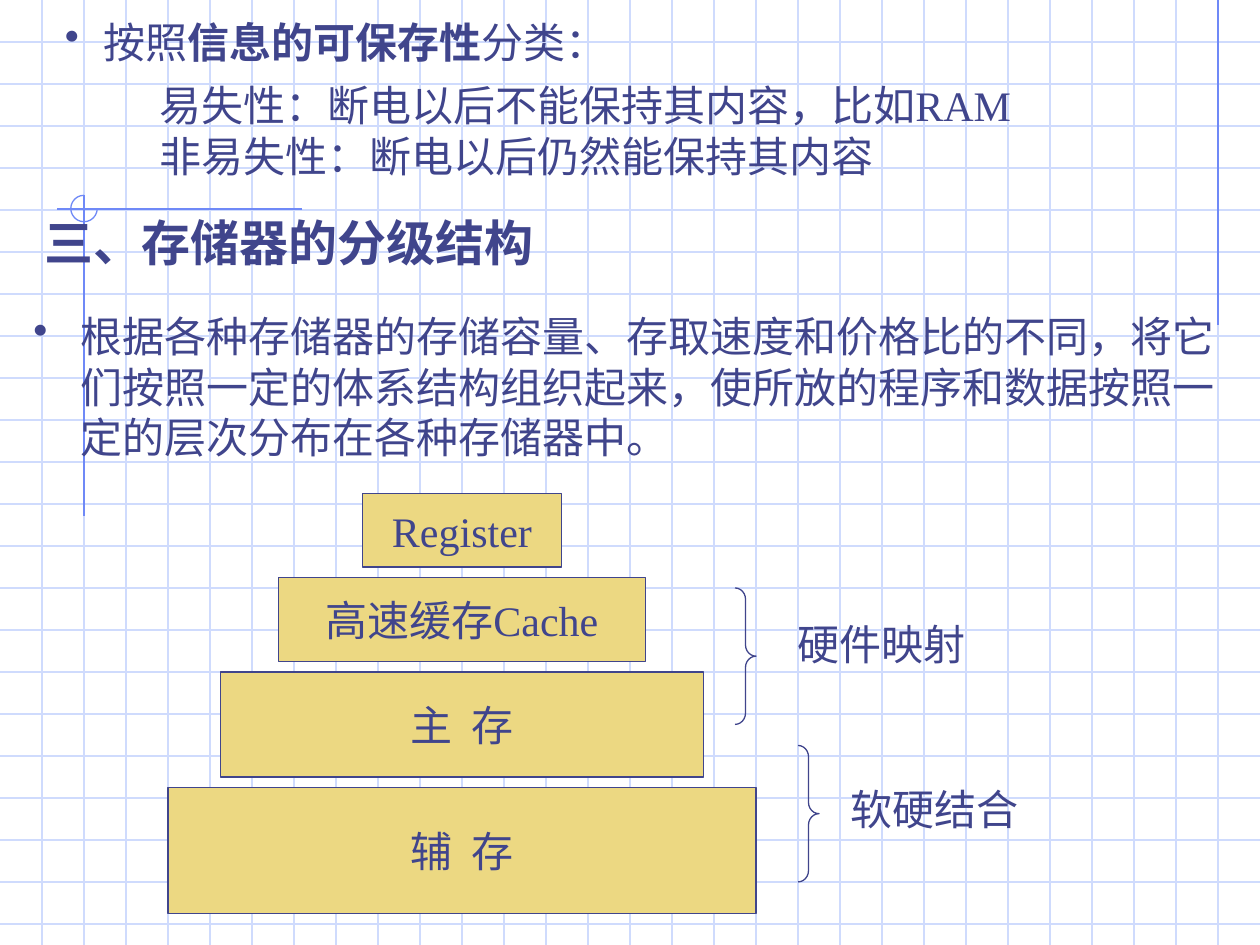
from lxml import etree
from pptx import Presentation
from pptx import util as u
from pptx.dml.color import RGBColor
from pptx.enum import shapes, text
from pptx.oxml import ns

GRID = RGBColor(0xCF, 0xDB, 0xFD)
ACCENT = RGBColor(0x6F, 0x89, 0xF7)
INK = RGBColor(0x40, 0x45, 0x8C)
GOLD = RGBColor(0xEC, 0xD8, 0x82)

presentation = Presentation()
presentation.slide_width, presentation.slide_height = u.Inches(10), u.Inches(7.5)
slide = presentation.slides.add_slide(presentation.slide_layouts[5])

# The slide is 120 x 90 units; the background grid has one line every 4 units.
COLUMNS, ROWS, STEP = 120, 90, 4
UNIT = presentation.slide_width / COLUMNS


def units(*values):
    return [round(value * UNIT) for value in values]


def write(shape, paragraphs, size=24, font="Times New Roman", **frame_format):
    """Fill a shape with paragraphs, each a list of (text, bold) runs."""
    frame = shape.text_frame
    for name, value in {"word_wrap": True, **frame_format}.items():
        setattr(frame, name, value)
    for index, runs in enumerate(paragraphs):
        paragraph = frame.add_paragraph() if index else frame.paragraphs[0]
        centred = shape.shape_type == shapes.MSO_SHAPE_TYPE.AUTO_SHAPE
        paragraph.alignment = text.PP_ALIGN.CENTER if centred else text.PP_ALIGN.LEFT
        for words, bold in runs:
            run = paragraph.add_run()
            run.text = words
            font_format = {"size": u.Pt(size), "name": font, "bold": bold}
            for name, value in font_format.items():
                setattr(run.font, name, value)
            run.font.color.rgb = INK


# Background grid and accent lines
lines = [(0, row, COLUMNS, row, GRID) for row in range(STEP, ROWS, STEP)]
lines += [(column, 0, column, ROWS, GRID) for column in range(STEP, COLUMNS, STEP)]
lines += [
    (116, 0, 116, 31, ACCENT),
    (28.8, 19.9, 5.4, 19.9, ACCENT),
    (8, 18.6, 8, 49.1, ACCENT),
]
for *ends, color in lines:
    line = slide.shapes.add_connector(shapes.MSO_CONNECTOR.STRAIGHT, *units(*ends))
    line.line.color.rgb = color
    line.line.width = u.Pt(0.75)
    etree.SubElement(line._element.spPr, ns.qn("a:effectLst"))

# Open outlines: the ring on the accent lines and the two braces
outlines = [
    (shapes.MSO_SHAPE.ARC, (6.74, 18.6, 2.52, 2.52), (0, 162), ACCENT),
    (shapes.MSO_SHAPE.RIGHT_BRACE, (70, 56, 2, 13), (0.54, 0.5), INK),
    (shapes.MSO_SHAPE.RIGHT_BRACE, (76, 71, 2, 13), (0.54, 0.5), INK),
]
for kind, box, adjustments, color in outlines:
    outline = slide.shapes.add_shape(kind, *units(*box))
    for index, value in enumerate(adjustments):
        outline.adjustments[index] = value
    outline.shadow.inherit = False
    outline.fill.background()
    outline.line.color.rgb = color
    outline.line.width = u.Pt(0.75)

# Title, brought in front of the grid
title = slide.shapes.title
title.left, title.top, title.width, title.height = units(3, 19, 102, 8)
write(title, [[("三、存储器的分级结构", True)]], size=28, font="Karla",
      vertical_anchor=text.MSO_ANCHOR.MIDDLE, auto_size=text.MSO_AUTO_SIZE.NONE)
slide.shapes._spTree.append(title._element)

# Memory levels, from the widest up; every level is centred on one axis
AXIS = 44
levels = [
    ("辅  存", 75, 56, 12),
    ("主  存", 64, 46, 10),
    ("高速缓存Cache", 55, 35, 8),
    ("Register", 47, 19, 7),
]
for name, top, width, height in levels:
    level = slide.shapes.add_shape(
        shapes.MSO_SHAPE.RECTANGLE, *units(AXIS - width // 2 - width % 2 * 0.5, top, width, height))
    level.shadow.inherit = False
    level.fill.solid()
    level.fill.fore_color.rgb = GOLD
    level.line.color.rgb = INK
    level.line.width = u.Pt(0.75)
    write(level, [[(name, False)]], word_wrap=False,
          vertical_anchor=text.MSO_ANCHOR.MIDDLE)

# Text blocks: box, paragraphs, hanging indent of the bullet, space before
blocks = [
    ((14, 7, 92, 10.8), [[("易失性：断电以后不能保持其内容，比如RAM", False)],
                         [("非易失性：断电以后仍然能保持其内容", False)]], 0, 0),
    ((5, 1, 104, 6), [[("按照", False), ("信息的可保存性", True),
                       ("分类：", False)]], 3.7, 0),
    ((74.8, 58.3, 23.2, 6), [[("硬件映射", False)]], 0, 0),
    ((79.8, 74, 23.2, 6), [[("软硬结合", False)]], 0, 0),
    ((2, 29, 116, 18), [[("根据各种存储器的存储容量、存取速度和价格比的不同，"
                          "将它们按照一定的体系结构组织起来，使所放的程序和数据"
                          "按照一定的层次分布在各种存储器中。", False)]], 4.5, 6),
]
for box, paragraphs, indent, space_before in blocks:
    block = slide.shapes.add_textbox(*units(*box))
    write(block, paragraphs)
    if indent:
        paragraph = block.text_frame.paragraphs[0]
        paragraph.space_before = u.Pt(space_before)
        properties = paragraph._p.get_or_add_pPr()
        hanging, = units(indent)
        properties.set("marL", str(hanging))
        properties.set("indent", str(-hanging))
        bullet_color = etree.SubElement(properties, ns.qn("a:buClr"))
        etree.SubElement(bullet_color, ns.qn("a:srgbClr"), val=str(INK))
        etree.SubElement(properties, ns.qn("a:buChar"), char="•")

presentation.save("out.pptx")
